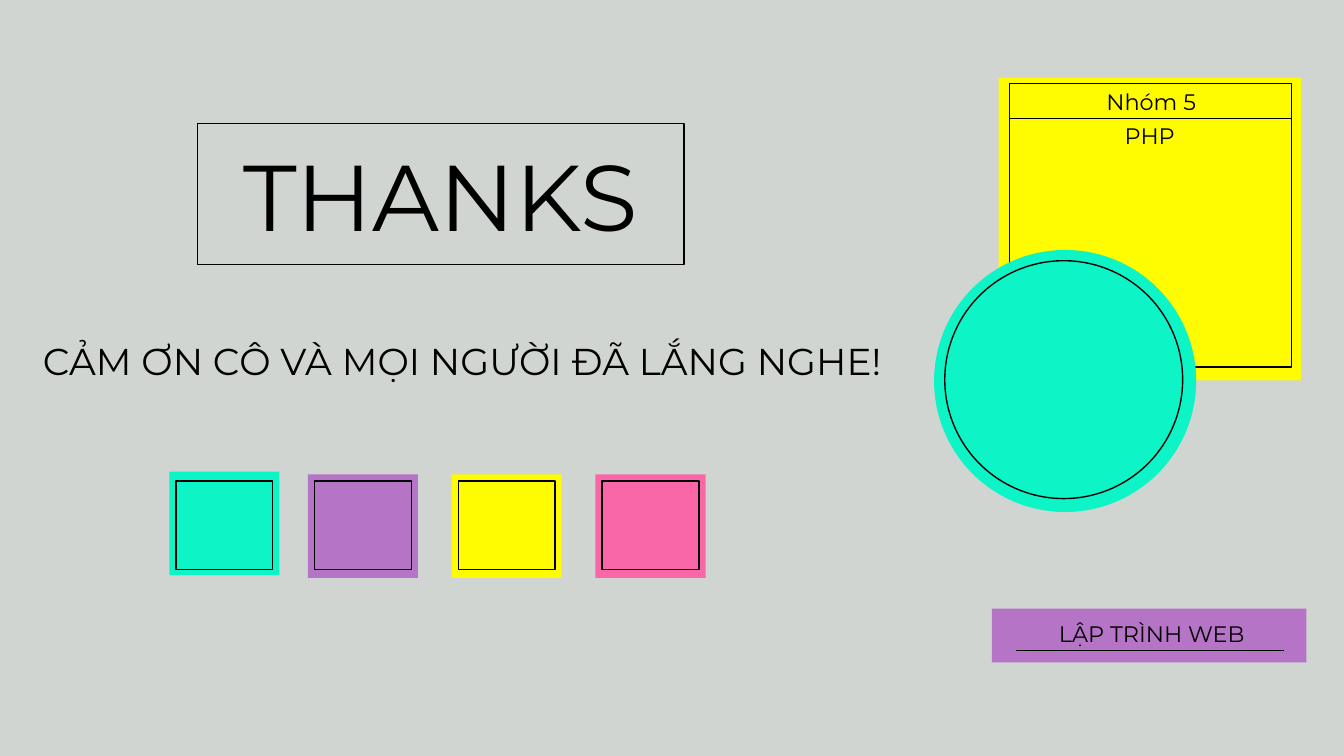
from pptx import Presentation
from pptx.dml.color import RGBColor
from pptx.enum.shapes import MSO_CONNECTOR, MSO_SHAPE
from pptx.enum.text import MSO_ANCHOR, PP_ALIGN
from pptx.oxml.ns import qn
from pptx.util import Inches, Pt
from lxml.etree import SubElement

GREY = RGBColor(0xD1, 0xD5, 0xD1)
BLACK = RGBColor(0x00, 0x00, 0x00)
PINK = RGBColor(0xFA, 0x67, 0xA8)
YELLOW = RGBColor(0xFF, 0xFB, 0x00)
PURPLE = RGBColor(0xB6, 0x74, 0xC7)
TEAL = RGBColor(0x0D, 0xF4, 0xC7)


def write(sp, text, size=12, align=PP_ALIGN.CENTER, anchor=MSO_ANCHOR.MIDDLE,
          inset=0.1, inset_y=0.1):
    tf = sp.text_frame
    tf.word_wrap = True
    tf.vertical_anchor = anchor
    tf.margin_left = tf.margin_right = Inches(inset)
    tf.margin_top = tf.margin_bottom = Inches(inset_y)
    p = tf.paragraphs[0]
    p.alignment = align
    r = p.add_run()
    r.text = text
    r.font.size = Pt(size)
    r.font.name = SlideBuilder.FONT
    r.font.color.rgb = BLACK


class SlideBuilder:
    FONT = "Montserrat"
    LINE_WIDTH = Pt(0.75)

    def __init__(self, prs):
        self.s = prs.slides.add_slide(prs.slide_layouts[5])
        self.s.background.fill.solid()
        self.s.background.fill.fore_color.rgb = GREY

    def outline(self, sp):
        sp.line.color.rgb = BLACK
        sp.line.width = self.LINE_WIDTH

    def title(self, text, x, y, w, h, **fmt):
        sp = self.s.shapes.title
        sp.left, sp.top, sp.width, sp.height = map(Inches, (x, y, w, h))
        sp.fill.background()
        self.outline(sp)
        write(sp, text, **fmt)

    def shape(self, x, y, w, h, fill=None, kind=MSO_SHAPE.RECTANGLE):
        """Add a filled shape without outline, or a bare outline if no fill."""
        sp = self.s.shapes.add_shape(kind, *map(Inches, (x, y, w, h)))
        sp.shadow.inherit = False
        if fill is None:
            sp.fill.background()
            self.outline(sp)
        else:
            sp.fill.solid()
            sp.fill.fore_color.rgb = fill
            sp.line.fill.background()

    def rule(self, x1, x2, y):
        line = self.s.shapes.add_connector(
            MSO_CONNECTOR.STRAIGHT, *map(Inches, (x1, y, x2, y)))
        self.outline(line)
        SubElement(line._element.spPr, qn("a:effectLst"))

    def text(self, text, x, y, w, h, **fmt):
        write(self.s.shapes.add_textbox(*map(Inches, (x, y, w, h))), text, **fmt)


def main():
    prs = Presentation()
    prs.slide_width = Inches(10)
    prs.slide_height = prs.slide_width * 9 // 16
    b = SlideBuilder(prs)

    b.title("THANKS", 1.47, 0.92, 3.62, 1.05, size=50)
    b.text("CẢM ƠN CÔ VÀ MỌI NGƯỜI ĐÃ LẮNG NGHE!", 0.22, 2.47, 7.01, 0.44,
           size=20, align=PP_ALIGN.LEFT, anchor=MSO_ANCHOR.TOP, inset_y=0.05)

    swatches = [(1.26, 3.51, TEAL), (2.29, 3.53, PURPLE),
                (3.36, 3.53, YELLOW), (4.43, 3.53, PINK)]
    for x, y, color in swatches:
        b.shape(x, y, 0.82, 0.77, color)
        b.shape(x + 0.05, 3.58, 0.72, 0.66)

    # Group card
    b.shape(7.43, 0.58, 2.25, 2.25, YELLOW)
    b.shape(7.51, 0.62, 2.1, 2.11)
    b.rule(7.51, 9.61, 0.88)
    b.text("Nhóm 5", 7.62, 0.63, 1.89, 0.25)
    b.text("PHP", 7.61, 0.88, 1.89, 0.25)

    # Course label
    b.shape(7.38, 4.53, 2.34, 0.4, PURPLE)
    b.rule(7.56, 9.55, 4.84)
    b.text("LẬP TRÌNH WEB", 7.48, 4.58, 2.18, 0.27)

    # Disc with inner ring
    b.shape(6.95, 1.86, 1.95, 1.95, TEAL, MSO_SHAPE.OVAL)
    b.shape(7.03, 1.94, 1.77, 1.77, kind=MSO_SHAPE.OVAL)

    prs.save("out.pptx")


if __name__ == "__main__":
    main()
